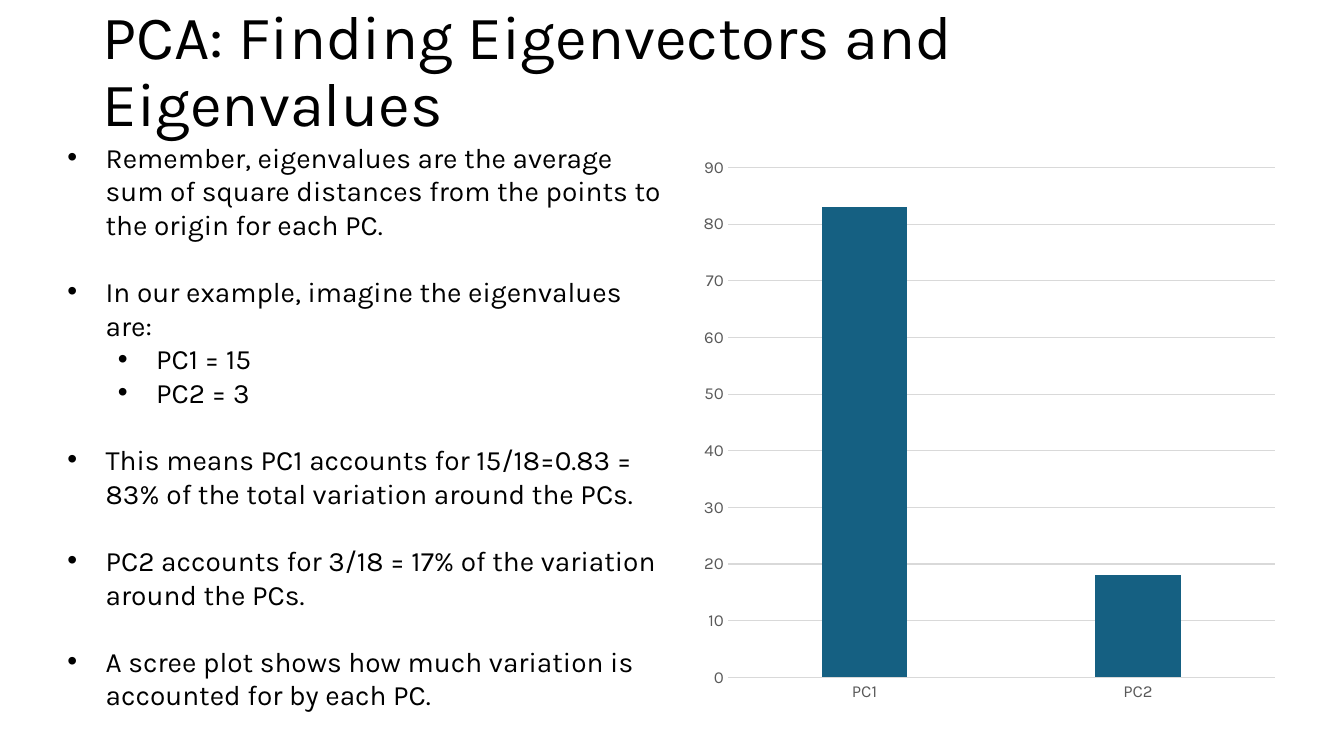
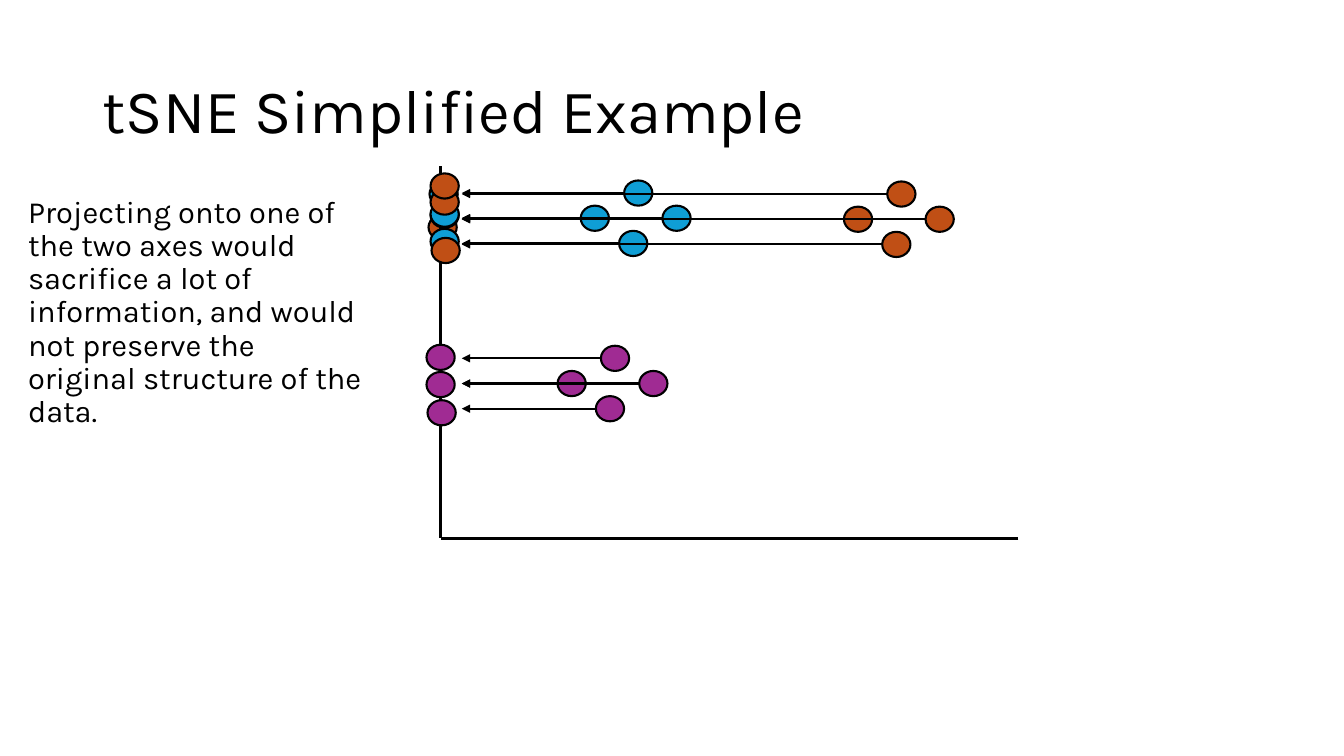
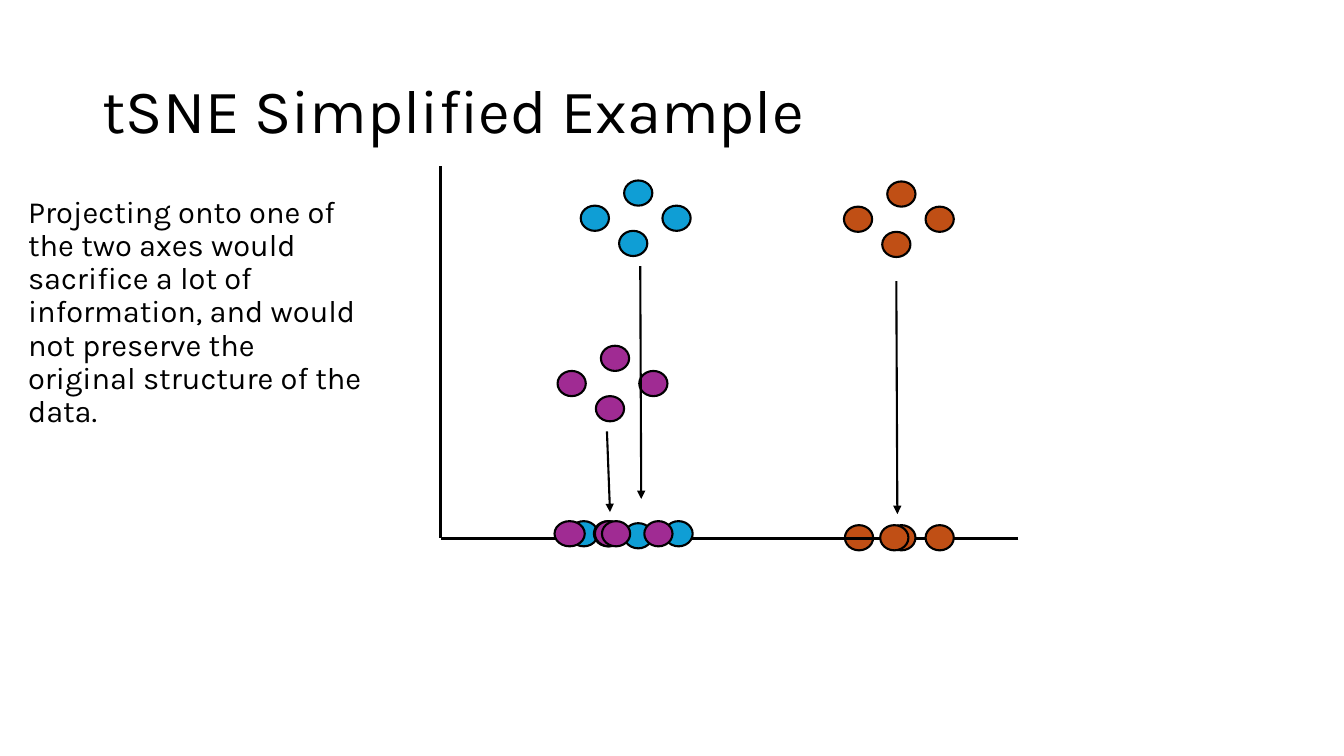
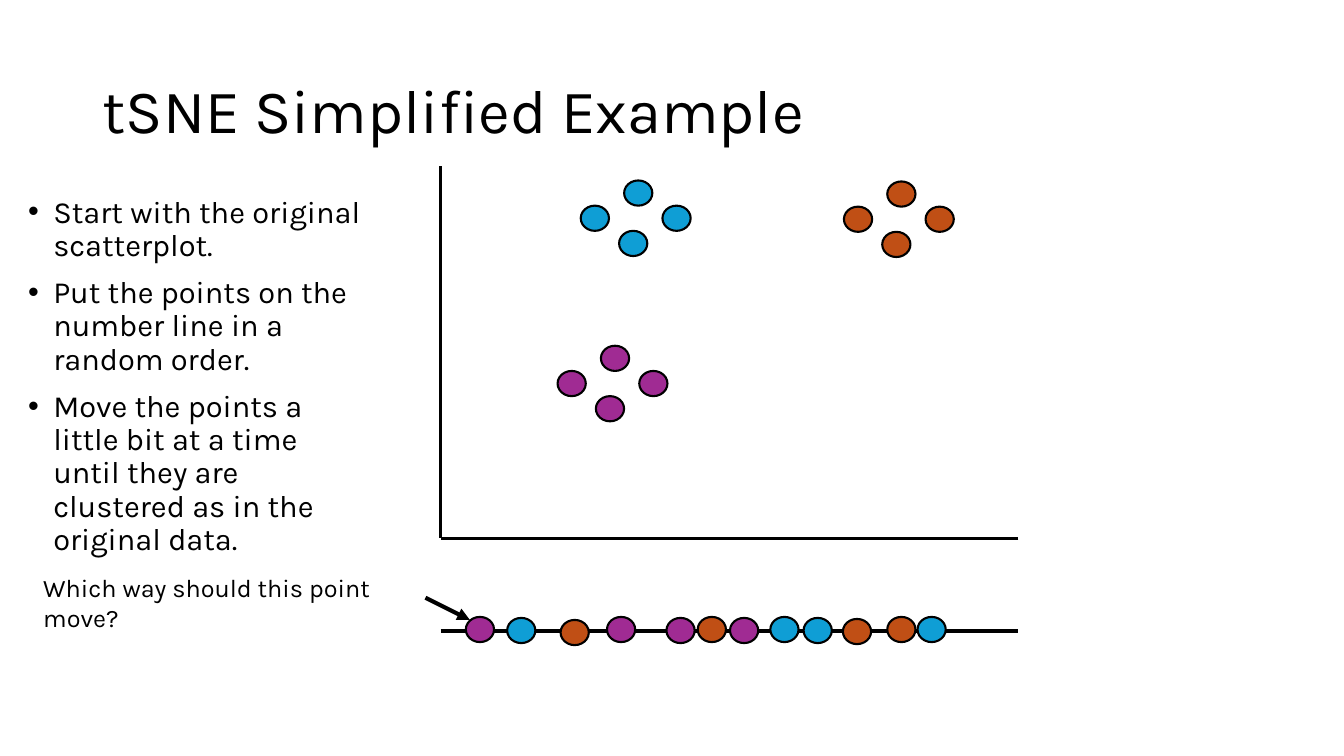
from dataclasses import dataclass

from pptx import Presentation
from pptx import util as u
from pptx.chart.data import CategoryChartData
from pptx.dml.color import RGBColor
from pptx.enum import chart as ch, shapes, text
from pptx.oxml import ns
from pptx.oxml.xmlchemy import OxmlElement

# Theme: the grid has square cells of one inch
CELL = u.Inches(1)
COLUMNS, ROWS = 13.33, 7.5
FONT = "Karla"
BLACK = RGBColor(0x00, 0x00, 0x00)
BLUE = RGBColor(0x0F, 0x9E, 0xD5)
PURPLE = RGBColor(0xA0, 0x2B, 0x93)
ORANGE = RGBColor(0xC0, 0x4F, 0x15)
BAR = RGBColor(0x15, 0x60, 0x82)
AXIS_TEXT = RGBColor(0x59, 0x59, 0x59)
GRIDLINE = RGBColor(0xD9, 0xD9, 0xD9)

# Scatterplot geometry, in cells
POINT_W, POINT_H = 0.28, 0.25
PLOT_LEFT, PLOT_TOP, PLOT_RIGHT, PLOT_BOTTOM = 4.37, 1.65, 10.1, 5.34
NUMBER_LINE = 6.26
ARROW_STOP = 4.58
CLUSTER_OFFSETS = ((0, 0.25), (0.43, 0), (0.38, 0.5), (0.81, 0.25))


@dataclass(frozen=True)
class Box:
    left: float
    top: float
    width: float
    height: float

    def emu(self) -> tuple:
        return tuple(cells(n) for n in (self.left, self.top, self.width, self.height))


@dataclass(frozen=True)
class Item:
    text: str
    indent: float = 0      # left margin in cells
    hanging: float = 0     # bullet offset; none without it
    before: float = 0      # points above the paragraph
    level: int = 0


@dataclass(frozen=True)
class Point:
    color: RGBColor
    left: float
    top: float
    width: float = POINT_W


@dataclass(frozen=True)
class Cluster:
    color: RGBColor
    left: float
    top: float

    def points(self) -> list:
        return [Point(self.color, self.left + dx, self.top + dy)
                for dx, dy in CLUSTER_OFFSETS]


@dataclass(frozen=True)
class Arrow:
    x1: float
    y1: float
    x2: float
    y2: float


CLUSTERS = (Cluster(BLUE, 5.76, 1.79), Cluster(PURPLE, 5.53, 3.43),
            Cluster(ORANGE, 8.37, 1.8))
TITLE_BOX = Box(0.92, 0.4, 11.5, 1.45)
BODY_BOX = Box(0.18, 1.9, 3.52, 4.76)


def cells(n: float) -> int:
    return round(n * CELL)


# Shared drawing functions
def add_bullet(paragraph, item: Item) -> None:
    props = paragraph._p.get_or_add_pPr()
    props.set("marL", str(cells(item.indent)))
    props.set("indent", str(-cells(item.hanging)))
    for tag, key, value in (("a:buFont", "typeface", "Arial"), ("a:buChar", "char", "•")):
        mark = OxmlElement(tag)
        mark.set(key, value)
        props.append(mark)


def add_text(slide, box: Box, items: list, size: float, spacing: float = 1,
             anchor=text.MSO_ANCHOR.TOP) -> None:
    frame = slide.shapes.add_textbox(*box.emu()).text_frame
    frame.word_wrap = True
    frame.vertical_anchor = anchor
    for index, item in enumerate(items):
        paragraph = frame.paragraphs[0] if index == 0 else frame.add_paragraph()
        paragraph.text = item.text
        paragraph.level = item.level
        paragraph.line_spacing = spacing
        paragraph.space_before = u.Pt(item.before)
        if item.hanging:
            add_bullet(paragraph, item)
        font = paragraph.font
        font.name, font.size = FONT, u.Pt(size)
        font.color.rgb = BLACK


def add_title(slide, title: str, box: Box = TITLE_BOX) -> None:
    add_text(slide, box, [Item(title)], 44, 0.9, text.MSO_ANCHOR.MIDDLE)


def add_line(parent, way: Arrow, weight: float, head: bool = False) -> None:
    line = parent.shapes.add_connector(
        shapes.MSO_CONNECTOR.STRAIGHT, *(cells(n) for n in (way.x1, way.y1, way.x2, way.y2)))
    line.line.color.rgb = BLACK
    line.line.width = u.Pt(weight)
    props = line.element.spPr
    if head:
        tip = OxmlElement("a:tailEnd")
        tip.set("type", "triangle")
        props.find(ns.qn("a:ln")).append(tip)
    props.append(OxmlElement("a:effectLst"))


def add_arrows(slide, arrows: list, weight: float = 1.5) -> None:
    for arrow in arrows:
        add_line(slide, arrow, weight, head=True)


def add_points(parent, points: list) -> None:
    for point in points:
        dot = parent.shapes.add_shape(
            shapes.MSO_SHAPE.OVAL, *Box(point.left, point.top, point.width, POINT_H).emu())
        dot.shadow.inherit = False
        dot.fill.solid()
        dot.fill.fore_color.rgb = point.color
        dot.line.color.rgb = BLACK
        dot.line.width = u.Pt(1.5)


def add_scatterplot(slide) -> None:
    plot = slide.shapes.add_group_shape()
    add_line(plot, Arrow(PLOT_LEFT, PLOT_TOP, PLOT_LEFT, PLOT_BOTTOM), 2.25)
    add_line(plot, Arrow(PLOT_RIGHT, PLOT_BOTTOM, PLOT_LEFT, PLOT_BOTTOM), 2.25)
    for cluster in CLUSTERS:
        add_points(plot, cluster.points())


def tsne_slide(deck, items: list, behind: tuple = ()):
    """Start a tSNE slide; the points in `behind` lie under the axes."""
    slide = new_slide(deck)
    add_points(slide, behind)
    add_title(slide, "tSNE Simplified Example")
    add_scatterplot(slide)
    add_text(slide, BODY_BOX, items, 22, 0.9)
    return slide


def new_slide(deck):
    return deck.slides.add_slide(deck.slide_layouts[6])


# Scree plot
def add_scree_plot(slide, box: Box) -> None:
    data = CategoryChartData()
    data.categories = ["PC1", "PC2"]
    data.add_series("Series 1", (83, 18))
    scree = slide.shapes.add_chart(
        ch.XL_CHART_TYPE.COLUMN_CLUSTERED, *box.emu(), data).chart
    scree.has_title = scree.has_legend = False
    scree.font.name, scree.font.size = FONT, u.Pt(10)
    bars = scree.plots[0]
    bars.gap_width, bars.overlap, bars.vary_by_categories = 219, -27, False
    fill = bars.series[0].format.fill
    fill.solid()
    fill.fore_color.rgb = BAR
    components, variation = scree.category_axis, scree.value_axis
    for axis in (components, variation):
        axis.major_tick_mark = axis.minor_tick_mark = ch.XL_TICK_MARK.NONE
        font = axis.tick_labels.font
        font.name, font.size = FONT, u.Pt(12)
        font.color.rgb = AXIS_TEXT
    variation.minimum_scale, variation.maximum_scale, variation.major_unit = 0, 90, 10
    variation.format.line.fill.background()
    for line in (components.format.line, variation.major_gridlines.format.line):
        line.color.rgb = GRIDLINE
        line.width = u.Pt(0.75)


# Slides
def eigenvalues(deck) -> None:
    slide = new_slide(deck)
    add_title(slide, "PCA: Finding Eigenvectors and Eigenvalues", Box(0.92, 0, 11.5, 1.45))
    main, sub = (0.38, 0.38), (0.88, 0.38)
    add_text(slide, Box(0.57, 1.34, 6.1, 5.49), [
        Item("Remember, eigenvalues are the average sum of square distances "
             "from the points to the origin for each PC.", *main),
        Item("In our example, imagine the eigenvalues are:", *main, 24),
        Item("PC1 = 15", *sub, level=1),
        Item("PC2 = 3", *sub, level=1),
        Item("This means PC1 accounts for 15/18=0.83 = 83% of the total "
             "variation around the PCs.", *main, 24),
        Item("PC2 accounts for 3/18 = 17% of the variation around the PCs.", *main, 24),
        Item("A scree plot shows how much variation is accounted for by each PC.", *main, 24),
    ], 20)
    add_scree_plot(slide, Box(6.86, 1.45, 5.9, 5.62))


PROJECTING = [Item("Projecting onto one of the two axes would sacrifice a lot of information, "
                   "and would not preserve the original structure of the data.", before=10)]


def vertical_projection(deck) -> None:
    slide = tsne_slide(deck, PROJECTING, (Point(ORANGE, 4.25, 2.13),))
    add_arrows(slide, [
        Arrow(point.left, point.top + POINT_H / 2, ARROW_STOP, point.top + POINT_H / 2)
        for cluster in CLUSTERS for point in cluster.points()])
    add_points(slide, [
        Point(BLUE, 4.26, 1.8), Point(BLUE, 4.27, 2.01),
        Point(BLUE, 4.27, 2.27), Point(BLUE, 4.27, 2),
        Point(ORANGE, 4.27, 1.88), Point(ORANGE, 4.28, 2.36), Point(ORANGE, 4.27, 1.72),
        Point(PURPLE, 4.23, 3.42), Point(PURPLE, 4.23, 3.69), Point(PURPLE, 4.24, 3.97)])


def horizontal_projection(deck) -> None:
    slide = tsne_slide(deck, PROJECTING, (Point(ORANGE, 8.38, 5.21),))
    add_points(slide, [
        Point(BLUE, 5.65, 5.17), Point(BLUE, 6.19, 5.19),
        Point(BLUE, 5.89, 5.17), Point(BLUE, 6.59, 5.17),
        Point(ORANGE, 9.18, 5.21), Point(ORANGE, 8.8, 5.21), Point(ORANGE, 8.73, 5.21),
        Point(PURPLE, 6.39, 5.17), Point(PURPLE, 5.9, 5.17),
        Point(PURPLE, 5.5, 5.17, 0.3), Point(PURPLE, 5.97, 5.17)])
    add_arrows(slide, [Arrow(8.89, 2.79, 8.9, 5.1), Arrow(6.35, 2.64, 6.36, 4.95),
                       Arrow(6.02, 4.28, 6.05, 5.08)])


def random_order(deck) -> None:
    steps = ("Start with the original scatterplot.",
             "Put the points on the number line in a random order.",
             "Move the points a little bit at a time until they are clustered "
             "as in the original data.")
    slide = tsne_slide(deck, [Item(step, 0.25, 0.25, 10) for step in steps])
    add_line(slide, Arrow(PLOT_LEFT, NUMBER_LINE, PLOT_RIGHT, NUMBER_LINE), 2.25)
    add_points(slide, [
        Point(PURPLE, 6.61, 6.13), Point(PURPLE, 7.24, 6.13),
        Point(PURPLE, 4.62, 6.12), Point(PURPLE, 6.02, 6.12),
        Point(BLUE, 9.1, 6.12), Point(BLUE, 5.03, 6.13),
        Point(BLUE, 7.64, 6.12), Point(BLUE, 7.97, 6.13),
        Point(ORANGE, 8.36, 6.14), Point(ORANGE, 8.8, 6.12),
        Point(ORANGE, 6.92, 6.12), Point(ORANGE, 5.56, 6.15)])
    add_text(slide, Box(0.33, 5.63, 4.01, 0.4),
             [Item("Which way should this point move?")], 18)
    add_arrows(slide, [Arrow(4.22, 5.93, 4.66, 6.15)], 3)


def main() -> None:
    deck = Presentation()
    deck.slide_width, deck.slide_height = cells(COLUMNS), cells(ROWS)
    for build in (eigenvalues, vertical_projection, horizontal_projection, random_order):
        build(deck)
    deck.save("out.pptx")


if __name__ == "__main__":
    main()
